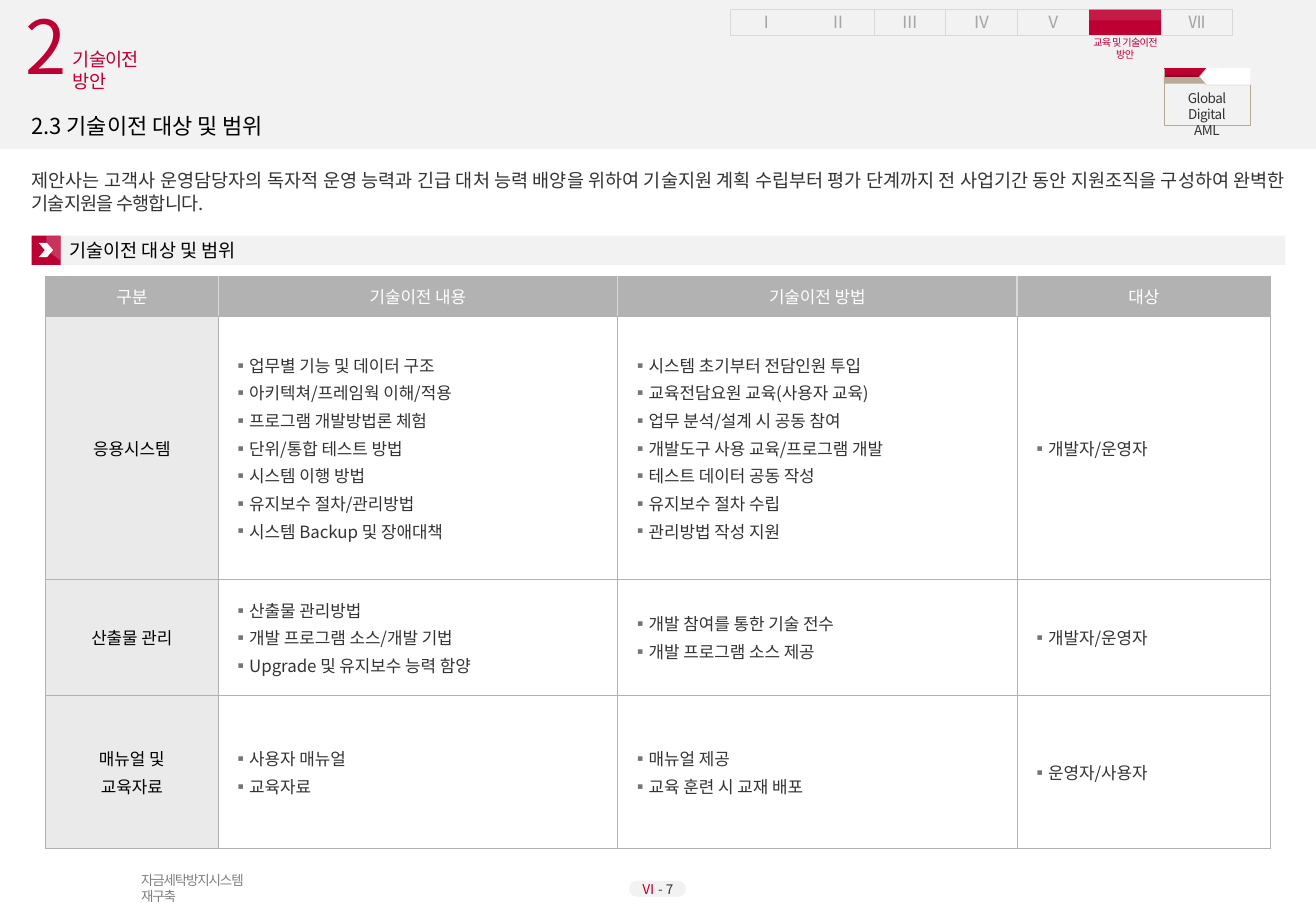
from lxml import etree
from pptx import Presentation
from pptx import util as u
from pptx.dml.color import RGBColor
from pptx.enum import shapes, text
from pptx.oxml.ns import qn

COLORS = {
    "red": "BD0032", "dark_red": "920026", "tan": "B8AA97", "outline": "B8A997",
    "white": "FFFFFF", "black": "000000", "text": "333333", "footer": "808080",
    "panel": "F2F2F2", "tab_line": "D9D9D9", "tab_text": "A6A6A6",
    "grid": "B2B2B2", "row_head": "EAEAEA", "bullet": "747474",
}
FONT = "Noto Sans CJK KR"
LEFT, CENTER, JUSTIFY = text.PP_ALIGN.LEFT, text.PP_ALIGN.CENTER, text.PP_ALIGN.JUSTIFY
TOP, MIDDLE = text.MSO_ANCHOR.TOP, text.MSO_ANCHOR.MIDDLE
RECT = shapes.MSO_SHAPE.RECTANGLE

TAB_LEFT, TAB_TOP, TAB_WIDTH, TAB_HEIGHT = 15.27, 0.2, 1.5, 0.53
TABS = ["Ⅰ", "Ⅱ", "Ⅲ", "Ⅳ", "Ⅴ", None, "Ⅶ"]
ACTIVE_TAB_LEFT = TAB_LEFT + TABS.index(None) * TAB_WIDTH

COLUMN_WIDTHS = [3.61, 8.35, 8.35, 5.3]
ROW_HEIGHTS = [0.84, 5.49, 2.44, 3.2]
TABLE_ROWS = [
    [["구분"], ["기술이전 내용"], ["기술이전 방법"], ["대상"]],
    [["응용시스템"],
     ["업무별 기능 및 데이터 구조", "아키텍쳐/프레임웍 이해/적용", "프로그램 개발방법론 체험",
      "단위/통합 테스트 방법", "시스템 이행 방법", "유지보수 절차/관리방법",
      "시스템 Backup 및 장애대책"],
     ["시스템 초기부터 전담인원 투입", "교육전담요원 교육(사용자 교육)",
      "업무 분석/설계 시 공동 참여", "개발도구 사용 교육/프로그램 개발",
      "테스트 데이터 공동 작성", "유지보수 절차 수립", "관리방법 작성 지원"],
     ["개발자/운영자"]],
    [["산출물 관리"],
     ["산출물 관리방법", "개발 프로그램 소스/개발 기법", "Upgrade 및 유지보수 능력 함양"],
     ["개발 참여를 통한 기술 전수", "개발 프로그램 소스 제공"],
     ["개발자/운영자"]],
    [["매뉴얼 및", "교육자료"],
     ["사용자 매뉴얼", "교육자료"],
     ["매뉴얼 제공", "교육 훈련 시 교재 배포"],
     ["운영자/사용자"]],
]


def rgb(color):
    return RGBColor.from_string(COLORS[color])


def add_xml(parent, tag, **attributes):
    return etree.SubElement(parent, qn(tag), attributes)


class SlideBuilder:
    def __init__(self, slide):
        self.slide = slide

    def format_run(self, run, size, color, spacing=0):
        run.font.size = u.Pt(size)
        run.font.color.rgb = rgb(color)
        run.font.name = FONT
        properties = run._r.get_or_add_rPr()
        add_xml(properties, "a:ea", typeface=FONT)
        if spacing:
            properties.set("spc", str(round(spacing * 100)))

    def set_lines(self, frame, lines, size, color, align=LEFT, anchor=MIDDLE, spacing=0, gap=0):
        frame.word_wrap = True
        frame.vertical_anchor = anchor
        frame.text = "\n".join(lines)
        for paragraph in frame.paragraphs:
            paragraph.alignment = align
            paragraph.space_before = paragraph.space_after = u.Pt(gap)
            for run in paragraph.runs:
                self.format_run(run, size, color, spacing)

    def set_insets(self, frame, left=0):
        frame.margin_left = u.Cm(left)
        frame.margin_top = frame.margin_right = frame.margin_bottom = 0

    def text(self, box, lines, size, color, **style):
        shape = self.slide.shapes.add_textbox(*map(u.Cm, box))
        self.set_insets(shape.text_frame)
        self.set_lines(shape.text_frame, lines, size, color, **style)
        return shape

    def title(self, box, line, size, color):
        shape = self.slide.shapes.title
        shape.left, shape.top, shape.width, shape.height = map(u.Cm, box)
        self.set_insets(shape.text_frame)
        shape.text_frame.auto_size = text.MSO_AUTO_SIZE.NONE
        self.set_lines(shape.text_frame, [line], size, color)
        shape.element.getparent().append(shape.element)  # bring in front of the header

    def paint(self, shape, fill=None, line=None, width=0.3, opacity=None):
        shape.shadow.inherit = False
        if fill:
            shape.fill.solid()
            shape.fill.fore_color.rgb = rgb(fill)
            if opacity:
                color = next(shape.element.iter(qn("a:srgbClr")))
                add_xml(color, "a:alpha", val=str(opacity * 1000))
        else:
            shape.fill.background()
        if line:
            shape.line.color.rgb = rgb(line)
            shape.line.width = u.Pt(width)
        else:
            shape.line.fill.background()
        return shape

    def shape(self, kind, box, adjustment=None, **paint):
        shape = self.slide.shapes.add_shape(kind, *map(u.Cm, box))
        if adjustment is not None:
            shape.adjustments[0] = adjustment
        return self.paint(shape, **paint)

    def outline(self, points, close=False, **paint):
        start, *rest = [(u.Cm(x), u.Cm(y)) for x, y in points]
        builder = self.slide.shapes.build_freeform(*start)
        builder.add_line_segments(rest, close=close)
        return self.paint(builder.convert_to_shape(), **paint)

    def line(self, x1, y1, x2, y2, color, width):
        connector = self.slide.shapes.add_connector(
            shapes.MSO_CONNECTOR.STRAIGHT, *map(u.Cm, (x1, y1, x2, y2)))
        connector.line.color.rgb = rgb(color)
        connector.line.width = u.Pt(width)
        add_xml(connector.element.spPr, "a:effectLst")

    def bullet(self, paragraph):
        properties = paragraph._p.get_or_add_pPr()
        properties.set("marL", str(u.Cm(0.28)))
        properties.set("indent", str(-u.Cm(0.28)))
        add_xml(add_xml(properties, "a:buClr"), "a:srgbClr", val=COLORS["bullet"])
        add_xml(properties, "a:buFont", typeface=FONT)
        add_xml(properties, "a:buChar", char="▪")

    def borders(self, cell, light_sides):
        """Light sides separate the header cells; all others use the grid colour."""
        properties = cell._tc.get_or_add_tcPr()
        for index, side in enumerate("LRTB"):
            color, width = ("tab_line", 0.75) if side in light_sides else ("grid", 0.5)
            border = etree.Element(qn("a:ln" + side), w=str(u.Pt(width)))
            add_xml(add_xml(border, "a:solidFill"), "a:srgbClr", val=COLORS[color])
            properties.insert(index, border)

    def table(self, left, top, widths, heights, rows):
        box = map(u.Cm, (left, top, sum(widths), sum(heights)))
        table = self.slide.shapes.add_table(len(rows), len(widths), *box).table
        table.first_row = table.horz_banding = False
        for column, width in zip(table.columns, widths):
            column.width = u.Cm(width)
        for r, (row, height) in enumerate(zip(rows, heights)):
            table.rows[r].height = u.Cm(height)
            for c, lines in enumerate(row):
                self.cell(table.cell(r, c), lines, r == 0, c, len(widths) - 1)

    def cell(self, cell, lines, is_header, column, last_column):
        is_body = not is_header and column > 0
        if is_header:
            fill, color = "grid", "white"
        else:
            fill, color = ("white", "text") if is_body else ("row_head", "black")
        cell.fill.solid()
        cell.fill.fore_color.rgb = rgb(fill)
        cell.margin_left = cell.margin_right = u.Cm(0.3 if is_body else 0.1)
        cell.margin_top = cell.margin_bottom = u.Cm(0.1)
        cell.vertical_anchor = MIDDLE
        frame = cell.text_frame
        frame.text = "\n".join(lines)
        for paragraph in frame.paragraphs:
            paragraph.alignment = LEFT if is_body else CENTER
            paragraph.space_before = paragraph.space_after = u.Pt(0 if is_header else 1)
            self.format_run(paragraph.runs[0], 10, color)
            if is_body:
                self.bullet(paragraph)
        light = ("L" if column > 0 else "") + ("R" if column < last_column else "")
        self.borders(cell, light if is_header else "")


def add_tabs(builder):
    bottom = TAB_TOP + TAB_HEIGHT
    builder.shape(RECT, (TAB_LEFT, TAB_TOP, TAB_WIDTH * len(TABS), TAB_HEIGHT), line="tab_line")
    for index, numeral in enumerate(TABS):
        x = TAB_LEFT + index * TAB_WIDTH
        if index > 1:
            builder.line(x, TAB_TOP, x, bottom, "tab_line", 0.3)
        if numeral:
            builder.text((x, TAB_TOP, TAB_WIDTH, TAB_HEIGHT), [numeral], 10, "tab_text",
                         align=CENTER, spacing=-0.4)
    builder.shape(RECT, (ACTIVE_TAB_LEFT, TAB_TOP, TAB_WIDTH, TAB_HEIGHT), fill="red")
    builder.shape(RECT, (ACTIVE_TAB_LEFT, TAB_TOP, TAB_WIDTH, 0.23), fill="white", opacity=10)
    builder.text((ACTIVE_TAB_LEFT, 0.76, TAB_WIDTH, 0.5), ["교육 및 기술이전 방안"], 6, "red",
                 align=CENTER, anchor=TOP, spacing=-0.4)


def add_badge(builder):
    builder.shape(RECT, (24.33, 1.6, 0.89, 0.15), fill="tan")
    stripe = builder.shape(RECT, (24.33, 1.42, 0.89, 0.18), fill="red")
    stripe.fill.gradient()
    stripe.fill.gradient_angle = 270
    for stop, (position, color) in zip(stripe.fill.gradient_stops,
                                       [(0.7, "red"), (1, "dark_red")]):
        stop.position = position
        stop.color.rgb = rgb(color)
    pointer = builder.shape(shapes.MSO_SHAPE.PENTAGON, (25.07, 1.42, 1.07, 0.36), 0.42,
                            fill="white")
    pointer.rotation = 180
    builder.outline([(25.22, 1.45), (25.07, 1.6), (25.22, 1.78), (26.14, 1.78)],
                    line="outline", width=0.2)
    builder.outline([(26.14, 1.78), (26.14, 2.62), (24.33, 2.62), (24.33, 1.45)],
                    line="outline", width=0.2)
    builder.text((24.58, 1.88, 1.3, 0.69), ["Global Digital", "AML"], 8, "text",
                 align=CENTER, anchor=TOP, spacing=-0.3)


def add_section_bar(builder):
    bar = builder.shape(RECT, (0.66, 4.93, 26.21, 0.61), fill="panel")
    builder.set_insets(bar.text_frame, left=0.79)
    builder.set_lines(bar.text_frame, ["기술이전 대상 및 범위"], 11, "black")
    builder.shape(RECT, (0.66, 4.93, 0.61, 0.61), fill="red")
    builder.outline([(1.26, 5.44), (0.97, 5.23), (0.97, 4.93), (1.26, 4.93)], close=True,
                    fill="white", opacity=20)
    builder.shape(shapes.MSO_SHAPE.CHEVRON, (0.81, 5.08, 0.3, 0.3), 0.43, fill="white")


def add_footer(builder):
    builder.text((2.95, 18.24, 2.3, 0.66), ["자금세탁방지시스템 재구축"], 8, "footer", spacing=-0.7)
    box = (13.15, 18.42, 1.19, 0.33)
    builder.shape(shapes.MSO_SHAPE.ROUNDED_RECTANGLE, box, 0.5, fill="panel")
    page = builder.text(box, ["Ⅵ "], 8, "red", align=CENTER)
    number = page.text_frame.paragraphs[0].add_run()
    number.text = "- 7"
    builder.format_run(number, 8, "text")


def main():
    presentation = Presentation()
    presentation.slide_width, presentation.slide_height = u.Cm(27.51), u.Cm(19.05)
    slide = presentation.slides.add_slide(presentation.slide_layouts[5])
    builder = SlideBuilder(slide)
    builder.shape(RECT, (0, 0, 27.51, 3.12), fill="panel")
    add_tabs(builder)
    add_badge(builder)
    builder.text((0.53, 0, 0.94, 1.88), ["2"], 44, "red", spacing=-0.7)
    builder.text((1.52, 1.0, 1.57, 1.0), ["기술이전 방안"], 11, "red", anchor=TOP, spacing=-0.4)
    builder.title((0.66, 2.34, 26.21, 0.56), "2.3 기술이전 대상 및 범위", 13, "black")
    intro = ("제안사는 고객사 운영담당자의 독자적 운영 능력과 긴급 대처 능력 배양을 위하여 "
             "기술지원 계획 수립부터 평가 단계까지 전 사업기간 동안 지원조직을 구성하여 "
             "완벽한 기술지원을 수행합니다.")
    builder.text((0.66, 3.45, 26.21, 1.12), [intro], 11, "text", align=JUSTIFY, spacing=-0.5)
    add_section_bar(builder)
    builder.table(0.95, 5.78, COLUMN_WIDTHS, ROW_HEIGHTS, TABLE_ROWS)
    add_footer(builder)
    presentation.save("out.pptx")


if __name__ == "__main__":
    main()
